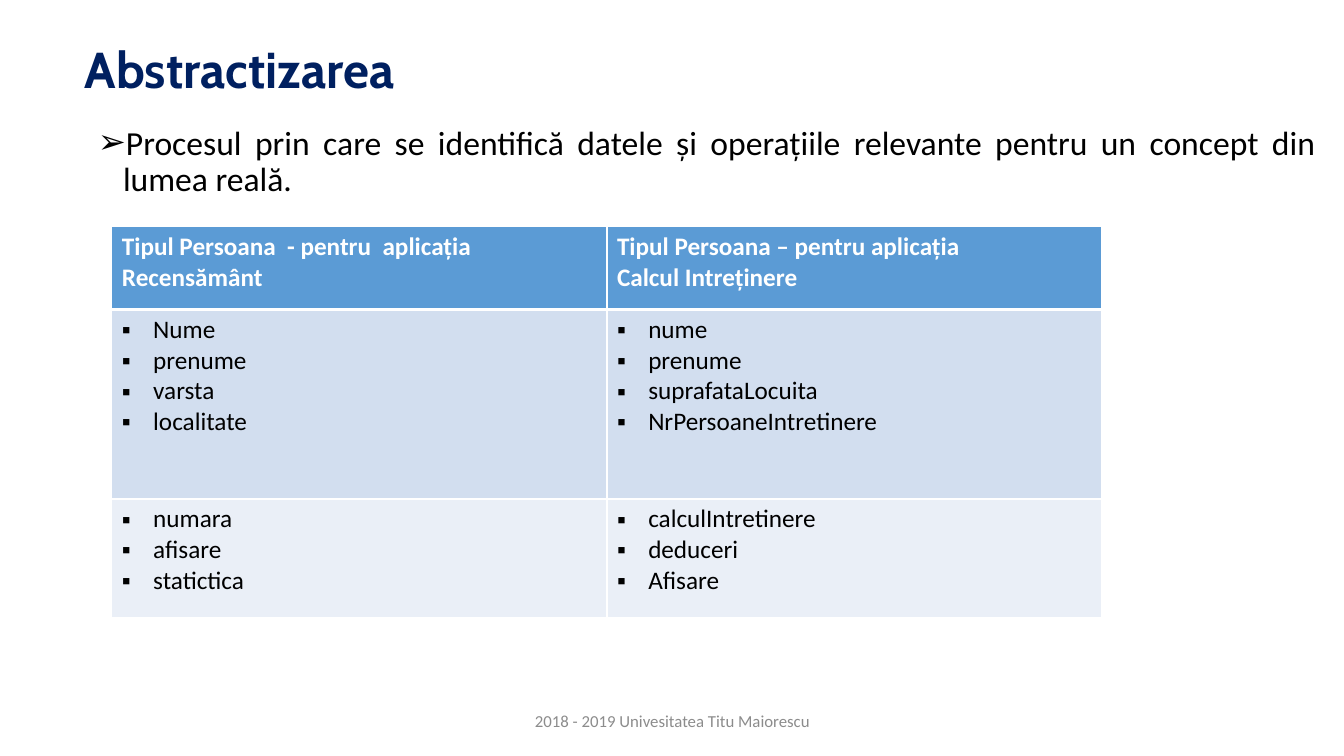
from lxml import etree
from pptx import Presentation
from pptx.dml.color import RGBColor
from pptx.enum.text import MSO_ANCHOR, MSO_AUTO_SIZE, PP_ALIGN
from pptx.oxml.ns import qn
from pptx.util import Pt

PX = 9144
LEFT, CENTER, JUSTIFY = PP_ALIGN.LEFT, PP_ALIGN.CENTER, PP_ALIGN.JUSTIFY
TOP, MIDDLE = MSO_ANCHOR.TOP, MSO_ANCHOR.MIDDLE
NO_FIT = MSO_AUTO_SIZE.NONE
COLORS = {
    "navy": "002060",
    "black": "000000",
    "gray": "8C8C8C",
    "white": "FFFFFF",
    "header": "5B9BD5",
    "data": "D2DEEF",
    "operations": "EAEFF7",
}
COLUMNS = [491, 491]
ROWS = [
    ("header", 82, [
        ["Tipul Persoana  - pentru  aplicația Recensământ"],
        ["Tipul Persoana – pentru aplicația", "Calcul Intreținere"],
    ]),
    ("data", 188, [
        ["Nume", "prenume", "varsta", "localitate"],
        ["nume", "prenume", "suprafataLocuita", "NrPersoaneIntretinere"],
    ]),
    ("operations", 118, [
        ["numara", "afisare", "statictica"],
        ["calculIntretinere", "deduceri", "Afisare"],
    ]),
]


def px(n):
    return int(n * PX)


def rgb(name):
    return RGBColor.from_string(COLORS[name])


def write(p, text, size=18, font="Calibri", color="black", bold=False,
          align=LEFT, spacing=1.0, level=0, bullet=None, margin=0, hang=0):
    p.level = level
    pPr = p._p.get_or_add_pPr()
    pPr.set("marL", str(px(margin)))
    pPr.set("indent", str(px(-hang)))
    if bullet:
        etree.SubElement(pPr, qn("a:buFont"), typeface="Arial")
        etree.SubElement(pPr, qn("a:buChar"), char=bullet)
    else:
        etree.SubElement(pPr, qn("a:buNone"))
    p.alignment = align
    p.line_spacing = spacing
    p.space_before = Pt(0)
    r = p.add_run()
    r.text = text
    r.font.size = Pt(size)
    r.font.name = font
    r.font.bold = bold
    r.font.color.rgb = rgb(color)


class Deck:
    def __init__(self, width, height):
        self.prs = Presentation()
        self.prs.slide_width = px(width)
        self.prs.slide_height = px(height)
        self.s = self.prs.slides.add_slide(self.prs.slide_layouts[1])

    def fill_frame(self, sp, text, anchor, **fmt):
        tf = sp.text_frame
        tf.word_wrap = True
        tf.auto_size = NO_FIT
        tf.vertical_anchor = anchor
        write(tf.paragraphs[0], text, **fmt)

    def placeholder(self, idx, x, y, w, h, text, anchor, **fmt):
        sp = self.s.placeholders[idx]
        sp.left, sp.top, sp.width, sp.height = px(x), px(y), px(w), px(h)
        self.fill_frame(sp, text, anchor, **fmt)

    def label(self, x, y, w, h, text, **fmt):
        sp = self.s.shapes.add_textbox(px(x), px(y), px(w), px(h))
        self.fill_frame(sp, text, MIDDLE, **fmt)

    def borders(self, cell, top, bottom):
        tcPr = cell._tc.get_or_add_tcPr()
        for side, width in (("L", 1), ("R", 1), ("T", top), ("B", bottom)):
            ln = etree.SubElement(tcPr, qn(f"a:ln{side}"), w=str(Pt(width)))
            fill = etree.SubElement(ln, qn("a:solidFill"))
            etree.SubElement(fill, qn("a:srgbClr"), val=COLORS["white"])

    def table(self, x, y, columns, rows):
        height = sum(h for _, h, _ in rows)
        frame = self.s.shapes.add_table(len(rows), len(columns), px(x), px(y),
                                        px(sum(columns)), px(height))
        table = frame.table
        for i, w in enumerate(columns):
            table.columns[i].width = px(w)
        for i, (kind, h, cells) in enumerate(rows):
            table.rows[i].height = px(h)
            if kind == "header":
                fmt = {"color": "white", "bold": True}
            else:
                fmt = {"bullet": "▪", "margin": 31, "hang": 31}
            for j, lines in enumerate(cells):
                cell = table.cell(i, j)
                self.borders(cell, 3 if i == 1 else 1, 3 if i == 0 else 1)
                cell.fill.solid()
                cell.fill.fore_color.rgb = rgb(kind)
                tf = cell.text_frame
                for k, line in enumerate(lines):
                    p = tf.add_paragraph() if k else tf.paragraphs[0]
                    write(p, line, **fmt)


def main():
    deck = Deck(1333, 750)
    deck.placeholder(0, 74, 23, 940, 97, "Abstractizarea", MIDDLE, size=36,
                     font="Cabin", color="navy", bold=True, spacing=0.9)
    deck.placeholder(1, 37, 120, 1278, 569,
                     "Procesul prin care se identifică datele și operațiile "
                     "relevante pentru un concept din lumea reală.",
                     TOP, size=24, align=JUSTIFY, spacing=0.9, level=1,
                     bullet="➢", margin=75, hang=25)
    deck.label(442, 695, 450, 40, "2018 - 2019 Univesitatea Titu Maiorescu",
               size=12, color="gray", align=CENTER)
    deck.table(111, 225, COLUMNS, ROWS)
    deck.prs.save("out.pptx")


if __name__ == "__main__":
    main()
